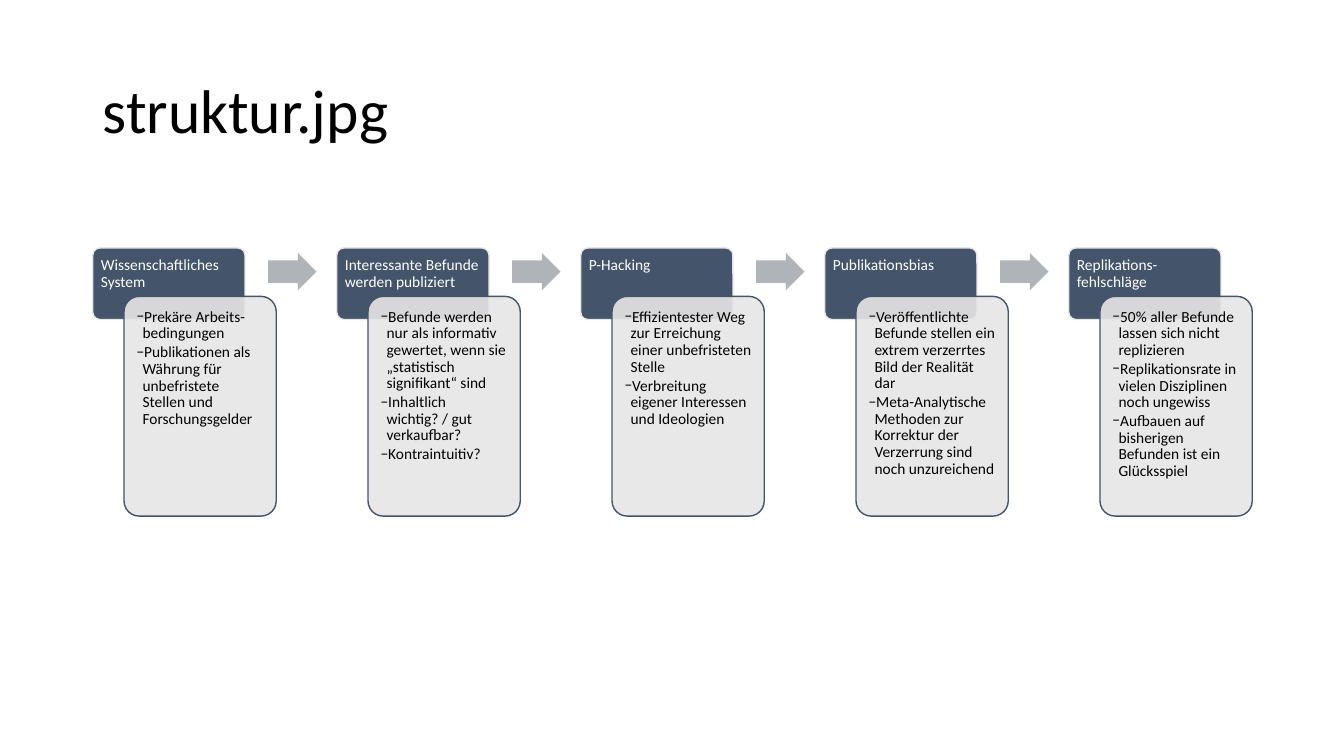
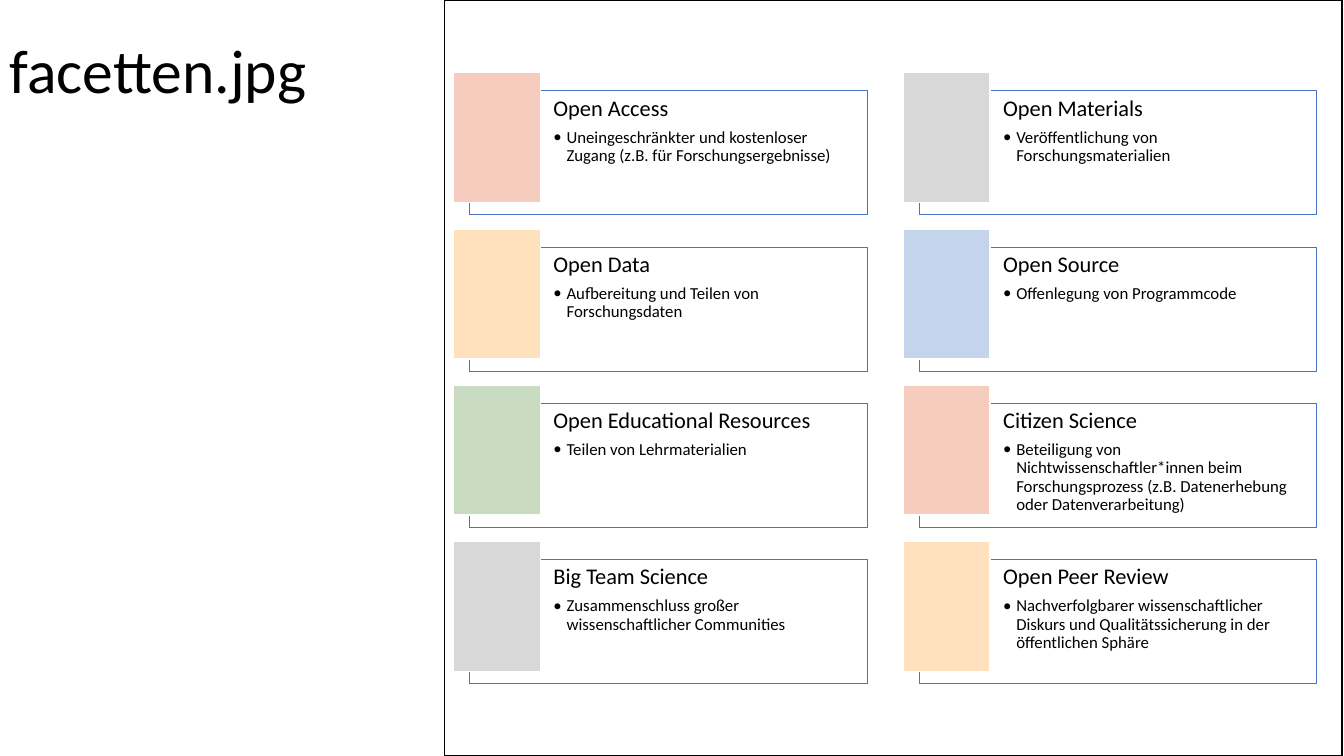
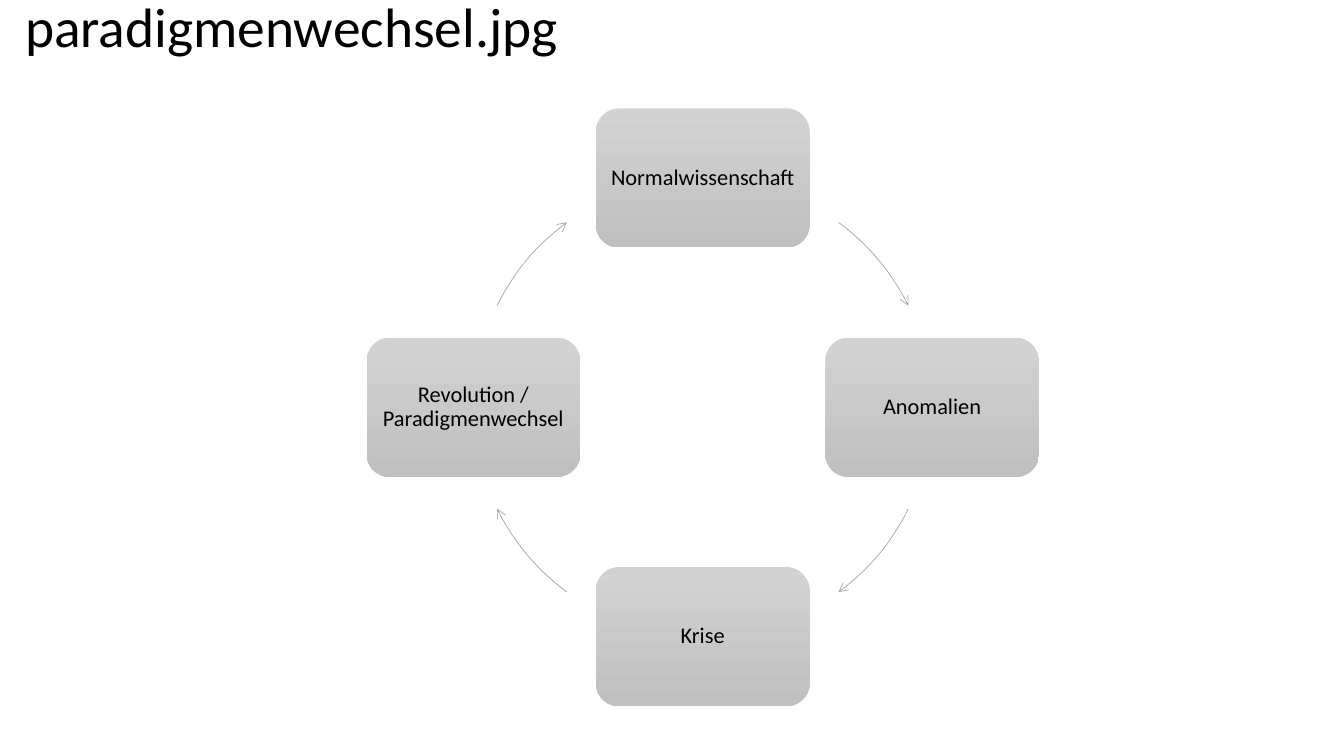
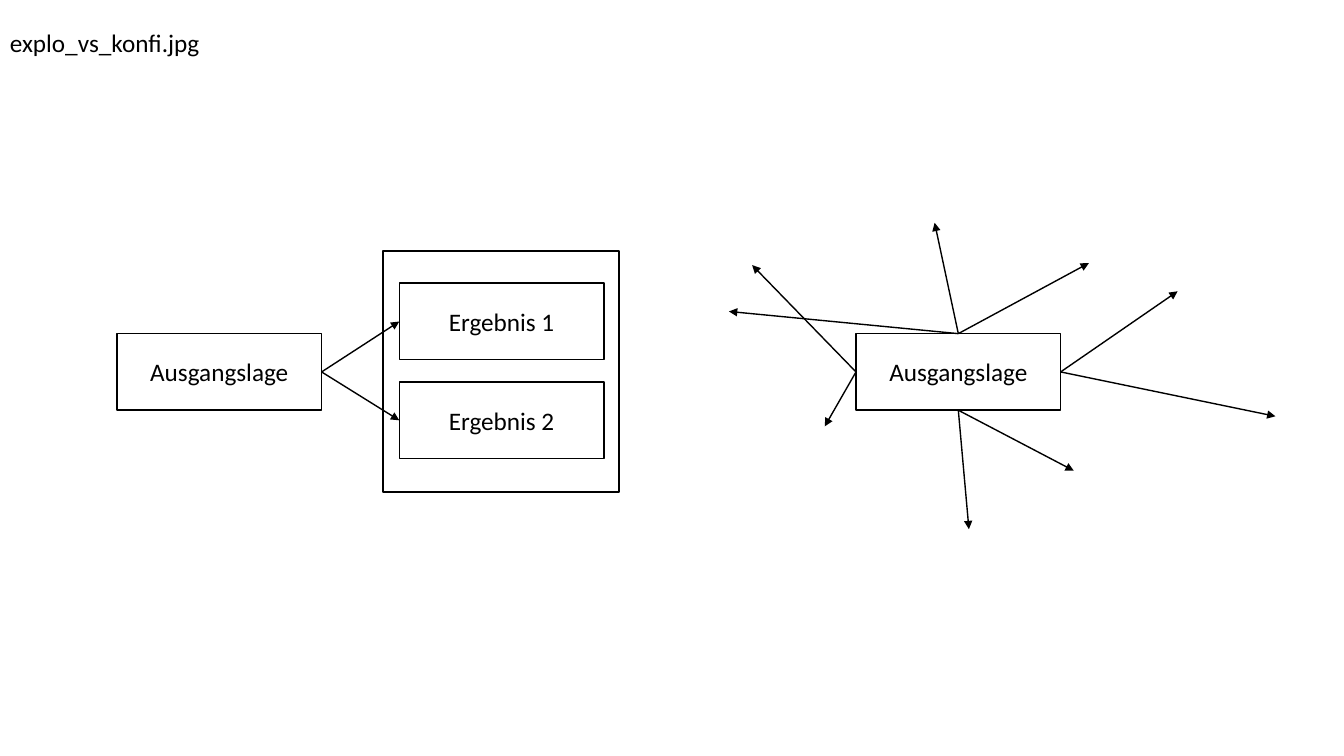
from lxml import etree
from pptx import Presentation
from pptx.dml.color import RGBColor
from pptx.enum.shapes import MSO_CONNECTOR, MSO_SHAPE
from pptx.enum.text import MSO_ANCHOR, PP_ALIGN
from pptx.oxml.ns import qn
from pptx.util import Inches, Pt

RECT, ROUND = MSO_SHAPE.RECTANGLE, MSO_SHAPE.ROUNDED_RECTANGLE
ARROW, ARC = MSO_SHAPE.RIGHT_ARROW, MSO_SHAPE.ARC
STRAIGHT = MSO_CONNECTOR.STRAIGHT
LEFT, CENTER = PP_ALIGN.LEFT, PP_ALIGN.CENTER
TOP, MIDDLE = MSO_ANCHOR.TOP, MSO_ANCHOR.MIDDLE
TOP_SITE, LEFT_SITE, BOTTOM_SITE, RIGHT_SITE = range(4)


class Theme:
    font = "Calibri"
    black, white = "000000", "FFFFFF"
    navy, pale, arrow = "44546A", "E7E6E6", "B0B4B9"
    blue, arc = "4472C4", "A5A5A5"
    grad_top, grad_bottom = "D2D2D2", "C0C0C0"
    rose, grey, sand = "F6CCBE", "D8D8D8", "FFE2BD"
    sky, green = "C4D5EB", "C9DBC1"
    title, title_cycle, label = 44, 39.6, 18
    heading, body, small = 16, 12, 11


def write(sp, text, size=Theme.label, color=Theme.black, align=LEFT, anchor=TOP,
          spacing=0.9, after=0, bullet=None, indent=0, insets=None):
    tf = sp.text_frame
    tf.word_wrap = True
    tf.vertical_anchor = anchor
    if insets:
        tf.margin_left, tf.margin_top, tf.margin_right, tf.margin_bottom = map(Inches, insets)
    p = tf.add_paragraph() if tf.text else tf.paragraphs[0]
    p.alignment = align
    p.line_spacing = spacing
    p.space_after = Pt(after)
    r = p.add_run()
    r.text = text
    r.font.name = Theme.font
    r.font.size = Pt(size)
    r.font.color.rgb = RGBColor.from_string(color)
    if bullet:
        pPr = p._p.get_or_add_pPr()
        pPr.set("marL", str(Inches(indent)))
        pPr.set("indent", str(-Inches(indent)))
        etree.SubElement(pPr, qn("a:buFont"), typeface=Theme.font)
        etree.SubElement(pPr, qn("a:buChar"), char=bullet)


def box(s, preset, x, y, w, h, fill=None, line=None, width=1, alpha=None, adj=()):
    sp = s.shapes.add_shape(preset, Inches(x), Inches(y), Inches(w), Inches(h))
    sp.shadow.inherit = False
    for i, value in enumerate(adj):
        sp.adjustments[i] = value
    if fill:
        sp.fill.solid()
        sp.fill.fore_color.rgb = RGBColor.from_string(fill)
    else:
        sp.fill.background()
    if alpha:
        clr = sp._element.spPr.find(qn("a:solidFill"))[0]
        etree.SubElement(clr, qn("a:alpha"), val=str(alpha * 1000))
    if line:
        sp.line.color.rgb = RGBColor.from_string(line)
        sp.line.width = Pt(width)
    else:
        sp.line.fill.background()
    return sp


prs = Presentation()
prs.slide_width, prs.slide_height = Inches(13.33), Inches(7.5)

titles = [
    ("struktur.jpg", (0.92, 0.4, 11.5, 1.45), Theme.title, 0.9),
    ("facetten.jpg", (0, 0, 3.64, 1.45), Theme.title, 0.9),
    ("paradigmenwechsel.jpg", (0.15, 0, 6.02, 0.59), Theme.title_cycle, 0.9),
    ("explo_vs_konfi.jpg", (0, 0.22, 6.67, 0.4), Theme.label, 1),
]
slides = []
for text, place, size, spacing in titles:
    s = prs.slides.add_slide(prs.slide_layouts[6])
    write(s.shapes.add_textbox(*map(Inches, place)), text, size=size, anchor=MIDDLE,
          spacing=spacing)
    slides.append(s)
structure, facets, cycle, comparison = slides

stages = [
    ("Wissenschaftliches System", [
        "Prekäre Arbeits-bedingungen",
        "Publikationen als Währung für unbefristete Stellen und Forschungsgelder"]),
    ("Interessante Befunde werden publiziert", [
        "Befunde werden nur als informativ gewertet, wenn sie „statistisch signifikant“ sind",
        "Inhaltlich wichtig? / gut verkaufbar?",
        "Kontraintuitiv?"]),
    ("P-Hacking", [
        "Effizientester Weg zur Erreichung einer unbefristeten Stelle",
        "Verbreitung eigener Interessen und Ideologien"]),
    ("Publikationsbias", [
        "Veröffentlichte Befunde stellen ein extrem verzerrtes Bild der Realität dar",
        "Meta-Analytische Methoden zur Korrektur der Verzerrung sind noch unzureichend"]),
    ("Replikations-fehlschläge", [
        "50% aller Befunde lassen sich nicht replizieren",
        "Replikationsrate in vielen Disziplinen noch ungewiss",
        "Aufbauen auf bisherigen Befunden ist ein Glücksspiel"]),
]
for i, (heading, points) in enumerate(stages):
    x = 0.92 + i * 2.42
    header = box(structure, ROUND, x, 2.46, 1.51, 0.71, Theme.navy, Theme.pale, adj=[0.1])
    write(header, heading, size=Theme.small, color=Theme.white,
          insets=(0.06, 0.07, 0.07, 0.05))
    card = box(structure, ROUND, x + 0.31, 2.94, 1.51, 2.18, Theme.pale, Theme.navy,
               alpha=90, adj=[0.1])
    for point in points:
        write(card, point, size=Theme.small, after=1.65, bullet="−", indent=0.06,
              insets=(0.08, 0.08, 0.07, 0.09))
    if i < len(stages) - 1:
        box(structure, ARROW, x + 1.74, 2.51, 0.48, 0.37, Theme.arrow, adj=[0.6, 0.5])

box(facets, RECT, 4.41, 0, 8.9, 7.5, Theme.white, Theme.black)
practices = [
    ("Open Access", Theme.rose,
     "Uneingeschränkter und kostenloser Zugang (z.B. für Forschungsergebnisse)"),
    ("Open Materials", Theme.grey, "Veröffentlichung von Forschungsmaterialien"),
    ("Open Data", Theme.sand, "Aufbereitung und Teilen von Forschungsdaten"),
    ("Open Source", Theme.sky, "Offenlegung von Programmcode"),
    ("Open Educational Resources", Theme.green, "Teilen von Lehrmaterialien"),
    ("Citizen Science", Theme.rose,
     "Beteiligung von Nichtwissenschaftler*innen beim Forschungsprozess "
     "(z.B. Datenerhebung oder Datenverarbeitung)"),
    ("Big Team Science", Theme.grey, "Zusammenschluss großer wissenschaftlicher Communities"),
    ("Open Peer Review", Theme.sand,
     "Nachverfolgbarer wissenschaftlicher Diskurs und Qualitätssicherung "
     "in der öffentlichen Sphäre"),
]
for i, (heading, color, description) in enumerate(practices):
    row, col = divmod(i, 2)
    x, y = 4.66 + col * 4.46, 0.9 + row * 1.55
    card = box(facets, RECT, x, y, 3.94, 1.23, Theme.white, Theme.blue, width=0.5, alpha=40)
    write(card, heading, size=Theme.heading, after=5.6, insets=(0.83, 0.06, 0.11, 0.07))
    write(card, description, size=Theme.body, after=1.8, bullet="•", indent=0.13)
    box(facets, RECT, x - 0.16, y - 0.18, 0.86, 1.29, color, Theme.white)

cx, cy, radius = 6.97, 4.04, 2.275
phases = [
    ("Normalwissenschaft", 0, -1, 306.3),
    ("Anomalien", 1, 0, 26.3),
    ("Krise", 0, 1, 126.3),
    ("Revolution / Paradigmenwechsel", -1, 0, 206.3),
]
for text, dx, dy, start in phases:
    sp = box(cycle, ROUND, cx + dx * radius - 1.06, cy + dy * radius - 0.69, 2.12, 1.38)
    sp.fill.gradient()
    sp.fill.gradient_angle = 270
    for stop, color in zip(sp.fill.gradient_stops, (Theme.grad_top, Theme.grad_bottom)):
        stop.color.rgb = RGBColor.from_string(color)
    write(sp, text, size=Theme.heading, align=CENTER, anchor=MIDDLE,
          insets=(0.07, 0.07, 0.07, 0.07))
    arc = box(cycle, ARC, cx - radius, cy - radius, 2 * radius, 2 * radius,
              line=Theme.arc, width=0.5, adj=[start * 0.6, (start + 27.4) * 0.6])
    etree.SubElement(arc._element.spPr.find(qn("a:ln")), qn("a:tailEnd"), type="arrow")

box(comparison, RECT, 3.8, 2.49, 2.34, 2.39, Theme.white, Theme.black)
nodes = []
for text, x, y in [("Ausgangslage", 1.16, 3.31), ("Ergebnis 1", 3.96, 2.81),
                   ("Ergebnis 2", 3.96, 3.79), ("Ausgangslage", 8.49, 3.31)]:
    sp = box(comparison, RECT, x, y, 2.03, 0.76, Theme.white, Theme.black)
    write(sp, text, align=CENTER, anchor=MIDDLE, spacing=1)
    nodes.append(sp)
origin, result_1, result_2, explorer = nodes

links = [
    (origin, RIGHT_SITE, (3.96, 3.19), result_1),
    (origin, RIGHT_SITE, (3.96, 4.17), result_2),
    (explorer, TOP_SITE, (9.27, 2.21), None),
    (explorer, RIGHT_SITE, (11.68, 2.89), None),
    (explorer, RIGHT_SITE, (12.65, 4.13), None),
    (explorer, BOTTOM_SITE, (9.61, 5.25), None),
    (explorer, LEFT_SITE, (7.46, 2.63), None),
    (explorer, LEFT_SITE, (8.18, 4.23), None),
    (explorer, BOTTOM_SITE, (10.65, 4.67), None),
    (explorer, TOP_SITE, (7.23, 3.09), None),
    (explorer, TOP_SITE, (10.8, 2.61), None),
]
for source, site, (x, y), target in links:
    cn = comparison.shapes.add_connector(STRAIGHT, Inches(x), Inches(y), Inches(x), Inches(y))
    cn.begin_connect(source, site)
    if target:
        cn.end_connect(target, LEFT_SITE)
    cn.line.color.rgb = RGBColor.from_string(Theme.black)
    cn.line.width = Pt(1)
    spPr = cn._element.spPr
    etree.SubElement(spPr.find(qn("a:ln")), qn("a:tailEnd"), type="triangle")
    etree.SubElement(spPr, qn("a:effectLst"))

prs.save("out.pptx")
